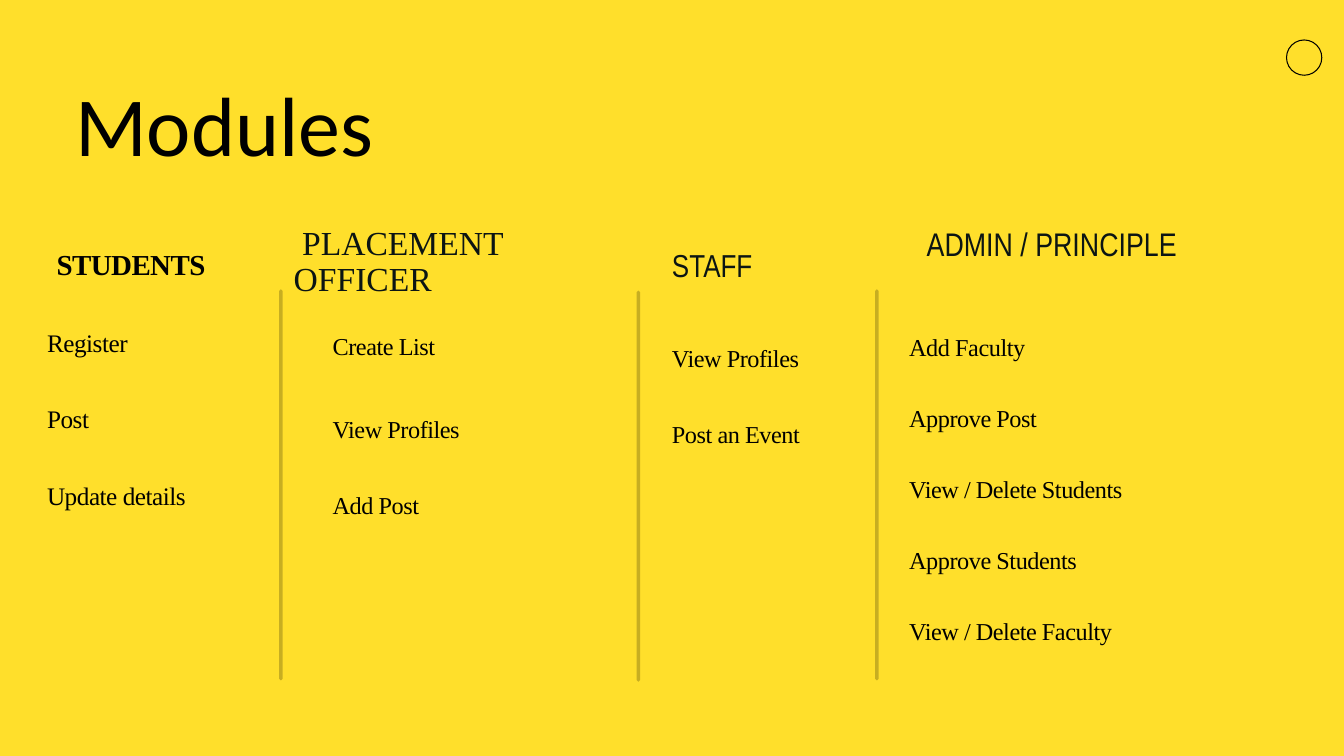
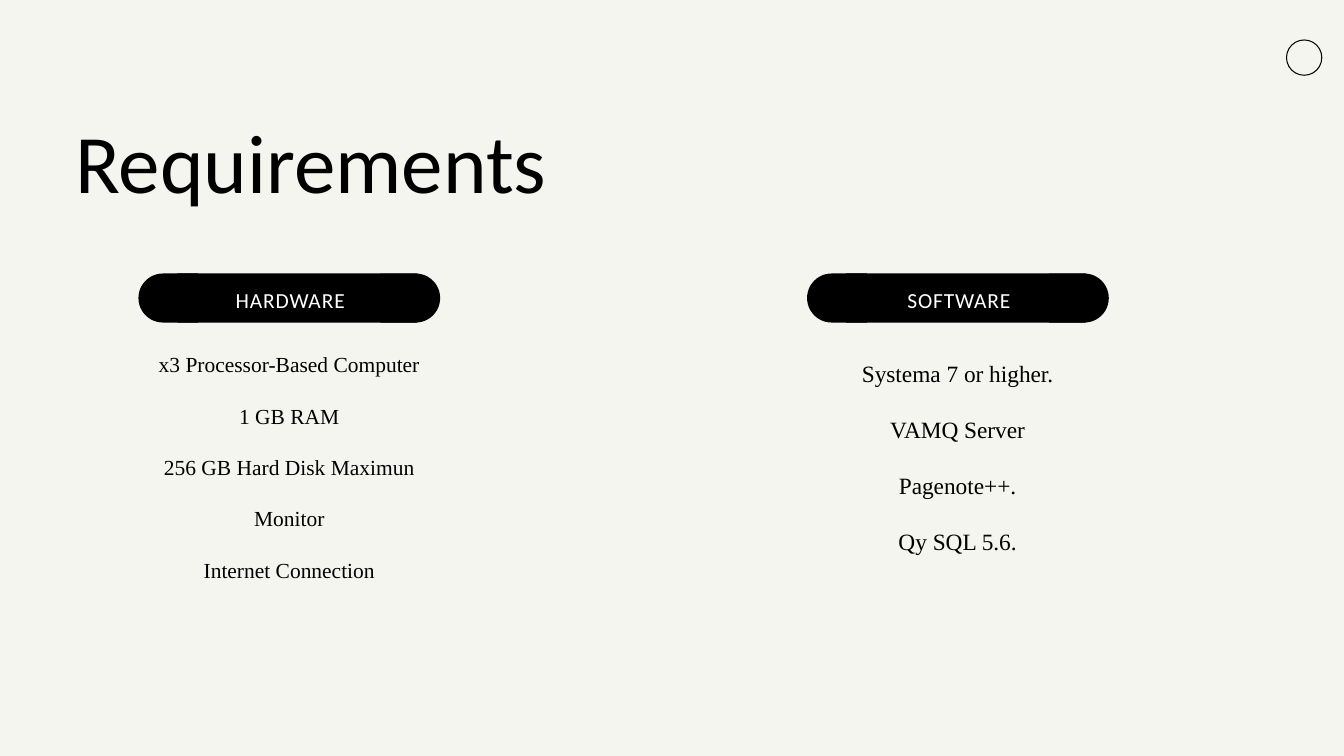
"""Build two slides: the modules of a placement system and its requirements."""
import dataclasses

import pptx
import pptx.dml.color
import pptx.enum.shapes
import pptx.enum.text
import pptx.oxml
import pptx.oxml.ns
import pptx.util


@dataclasses.dataclass(frozen=True)
class Theme:
    yellow: str = "FFDF2B"
    paper: str = "F5F5EF"
    black: str = "000000"
    ink: str = "0C1513"
    white: str = "FFFFFF"
    sans: str = "Calibri"
    narrow: str = "Arial Narrow"
    serif: str = "Times New Roman"
    title: int = 90
    label: int = 23
    item: int = 26
    rule: float = 3.75
    ring: float = 1.1


theme = Theme()
color = pptx.dml.color.RGBColor.from_string
LEFT = pptx.enum.text.PP_ALIGN.LEFT
CENTER = pptx.enum.text.PP_ALIGN.CENTER
SHAPES = pptx.enum.shapes.MSO_SHAPE

presentation = pptx.Presentation()
presentation.slide_width = pptx.util.Inches(20)
presentation.slide_height = pptx.util.Inches(11.25)
CELL = presentation.slide_width / 200


def grid(*cells):
    """Turn grid columns and rows into lengths."""
    return [round(cell * CELL) for cell in cells]


def write(shape, lines, size, font, ink=theme.black, leading=None, gaps=(),
          align=LEFT, bold=False, tracking=0, indent=0):
    """Fill a shape with equally styled paragraphs, with a gap after each."""
    frame = shape.text_frame
    frame.word_wrap = True
    frame.margin_left = frame.margin_right = frame.margin_top = frame.margin_bottom = 0
    frame.text = "\n".join(lines)
    for paragraph, gap in zip(frame.paragraphs, (*gaps, 0)):
        paragraph.alignment = align
        paragraph.space_after = pptx.util.Pt(gap)
        if leading:
            paragraph.line_spacing = pptx.util.Pt(leading)
        paragraph.font.size = pptx.util.Pt(size)
        paragraph.font.name = font
        paragraph.font.bold = bold
        paragraph.font.color.rgb = color(ink)
        properties = paragraph._p.get_or_add_pPr()
        properties.set("indent", str(round(indent * CELL)))
        properties.find(pptx.oxml.ns.qn("a:defRPr")).set("spc", str(round(tracking * 100)))


slides = []
for title, background, top, size in (
    ("Modules", theme.yellow, 12.1, theme.title),
    ("Requirements", theme.paper, 17.6, theme.title - 1),
):
    slide = presentation.slides.add_slide(presentation.slide_layouts[6])
    slide.background.fill.solid()
    slide.background.fill.fore_color.rgb = color(background)
    ring = slide.shapes.add_shape(SHAPES.OVAL, *grid(191.45, 5.95, 5.25, 5.25))
    ring.shadow.inherit = False
    ring.fill.background()
    ring.line.color.rgb = color(theme.black)
    ring.line.width = pptx.util.Pt(theme.ring)
    write(slide.shapes.add_textbox(*grid(11.2, top, 77, 13.8)), [title],
          size, theme.sans, leading=size + 9)
    slides.append(slide)
modules, requirements = slides

headings = (
    ("STUDENTS", (7, 36.5, 25, 5.4), 31, theme.serif,
     dict(leading=39, align=CENTER, bold=True, tracking=-0.6)),
    ("PLACEMENT OFFICER", (43.7, 33.8, 49.5, 10.8), 36, theme.serif,
     dict(leading=38, ink=theme.ink, indent=1.25)),
    ("STAFF", (100, 37.3, 18.3, 5.1), 34, theme.narrow, dict(leading=36, ink=theme.ink)),
    ("ADMIN / PRINCIPLE", (137.9, 34, 40.1, 10.4), 35, theme.narrow,
     dict(leading=37, ink=theme.ink)),
)
for heading, box, size, font, style in headings:
    write(modules.shapes.add_textbox(*grid(*box)), [heading], size, font, **style)

module_lists = (
    (("Register", "Post", "Update details"),
     (7, 47.5, 36.1, 28.3), theme.item + 1, 41, (41, 41)),
    (("Create List", "View Profiles", "Add Post"),
     (49.5, 47.9, 31.1, 34.9), theme.item, 41, (48, 41)),
    (("View Profiles", "Post an Event"),
     (100, 49.7, 33, 22.5), theme.item, 41, (41,)),
    (("Add Faculty", "Approve Post", "View / Delete Students", "Approve Students",
      "View / Delete Faculty"),
     (135.3, 48.5, 45.3, 47.3), theme.item, 38, (38,) * 4),
)
for lines, box, size, leading, gaps in module_lists:
    write(modules.shapes.add_textbox(*grid(*box)), lines, size, theme.serif,
          leading=leading, gaps=gaps, tracking=-0.5)

for column, top in ((41.8, 43.3), (95, 43.5), (130.5, 43.3)):
    divider = modules.shapes.add_connector(
        pptx.enum.shapes.MSO_CONNECTOR.STRAIGHT,
        *grid(column, top + 57.7, column, top))
    divider.line.color.rgb = color(theme.black)
    divider.line.width = pptx.util.Pt(theme.rule)
    outline = divider.line._get_or_add_ln()
    outline.set("cap", "rnd")
    tint = outline.find(".//" + pptx.oxml.ns.qn("a:srgbClr"))
    namespace = pptx.oxml.ns.nsdecls("a")
    tint.append(pptx.oxml.parse_xml(f'<a:alpha {namespace} val="22000"/>'))
    divider._element.spPr.append(pptx.oxml.parse_xml(f"<a:effectLst {namespace}/>"))

requirement_lists = (
    ("HARDWARE", 20.6, (17.1, 52.3, 51.9, 38.9), theme.label, 27.4,
     ("x3 Processor-Based Computer", "1 GB RAM", "256 GB Hard Disk Maximun",
      "Monitor", "Internet Connection")),
    ("SOFTWARE", 120.1, (120.1, 53.4, 44.8, 33.3), theme.label + 2, 30.1,
     ("Systema 7 or higher.", "VAMQ Server", "Pagenote++.", "Qy SQL 5.6.")),
)
for heading, column, box, size, gap, lines in requirement_lists:
    for kind, offset, top, width, height, rotation in (
        (SHAPES.ROUND_2_SAME_RECTANGLE, 0.8, 39.9, 7.3, 8.9, 90),
        (SHAPES.ROUND_2_SAME_RECTANGLE, 36.8, 39.9, 7.3, 8.9, 270),
        (SHAPES.RECTANGLE, 5.8, 40.7, 35.7, 7.3, 0),
    ):
        part = requirements.shapes.add_shape(
            kind, *grid(column + offset, top, width, height))
        part.rotation = rotation
        if rotation:
            part.adjustments[0] = 0
            part.adjustments[1] = 0.5
        part.shadow.inherit = False
        part.fill.solid()
        part.fill.fore_color.rgb = color(theme.black)
        part.line.fill.background()
    write(requirements.shapes.add_textbox(*grid(column + 3.75, 42.2, 37.7, 4.2)),
          [heading], theme.label, theme.sans, ink=theme.white,
          leading=31, align=CENTER, tracking=0.9)
    write(requirements.shapes.add_textbox(*grid(*box)), lines, size, theme.serif,
          gaps=(gap,) * (len(lines) - 1), align=CENTER)

presentation.save("out.pptx")
